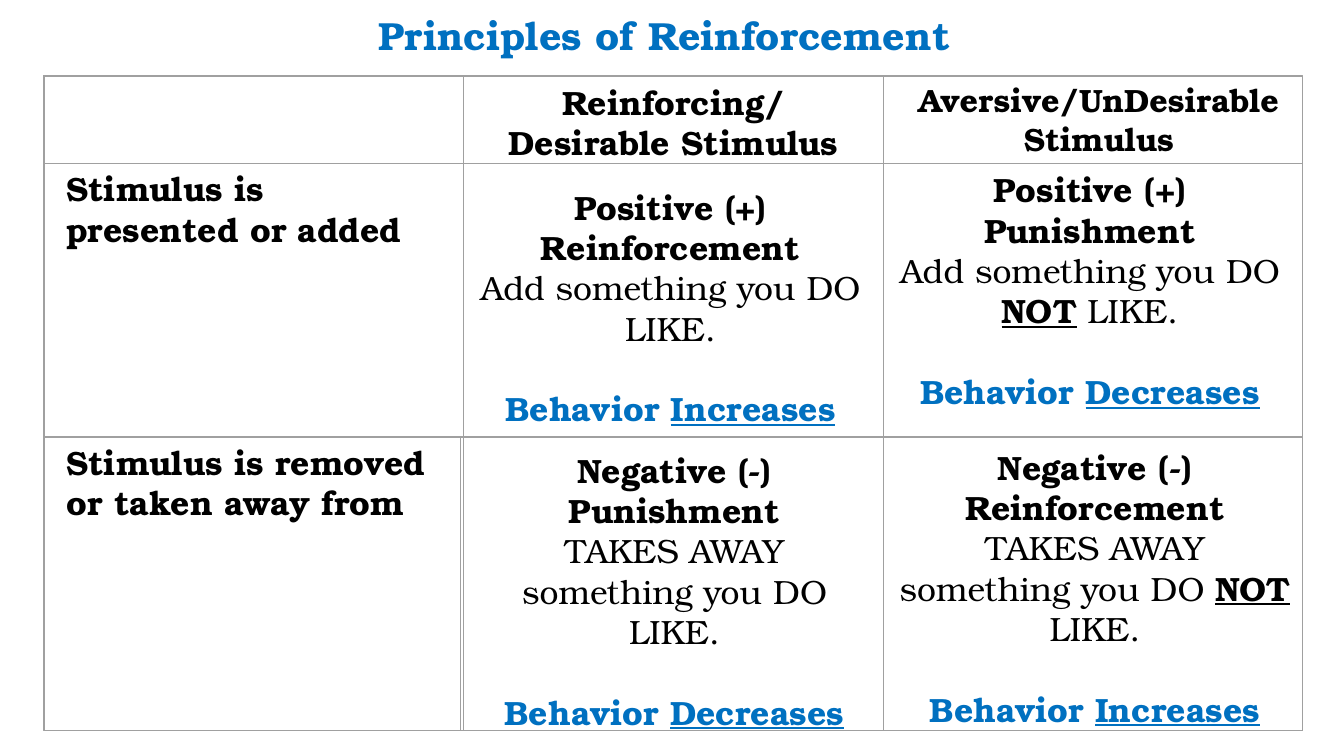
from dataclasses import dataclass

from pptx import Presentation
from pptx.dml.color import RGBColor
from pptx.enum.shapes import MSO_SHAPE
from pptx.enum.text import MSO_ANCHOR, PP_ALIGN
from pptx.util import Inches, Pt

CENTER, LEFT = PP_ALIGN.CENTER, PP_ALIGN.LEFT
MIDDLE, TOP = MSO_ANCHOR.MIDDLE, MSO_ANCHOR.TOP
RECTANGLE = MSO_SHAPE.RECTANGLE

FONT = "TeX Gyre Bonum"
COLORS = {"ink": "000000", "accent": "0070C0", "grid": "A0A0A0"}
TEXT_WIDTH = 3.92
BLANK_LINE = 28.8


@dataclass
class Span:
    text: str
    bold: bool = True
    underline: bool = False
    color: str = "ink"


@dataclass
class Line:
    spans: list[Span]
    space_before: float = 0


@dataclass
class Block:
    left: float
    top: float
    width: float
    height: float
    lines: list[Line]
    size: float = 24
    align: int = CENTER
    anchor: int = TOP
    inset: bool = True
    spacing: float = 1.0


@dataclass
class Outcome:
    left: float
    top: float
    height: float
    name: str
    action: list[Span]
    change: str


def heading(*texts: str, color: str = "ink") -> list[Line]:
    return [Line([Span(text, color=color)]) for text in texts]


def outcome_block(outcome: Outcome) -> Block:
    behavior = [Span("Behavior ", color="accent"),
                Span(outcome.change, underline=True, color="accent")]
    lines = heading(outcome.name) + [Line(outcome.action), Line(behavior, BLANK_LINE)]
    return Block(outcome.left, outcome.top, TEXT_WIDTH, outcome.height, lines, inset=False)


def draw_block(slide, block: Block) -> None:
    box = slide.shapes.add_textbox(Inches(block.left), Inches(block.top),
                                   Inches(block.width), Inches(block.height))
    frame = box.text_frame
    frame.word_wrap = True
    frame.vertical_anchor = block.anchor
    if not block.inset:
        frame.margin_left = frame.margin_right = Inches(0)
        frame.margin_top = frame.margin_bottom = Inches(0)
    for index, line in enumerate(block.lines):
        paragraph = frame.add_paragraph() if index else frame.paragraphs[0]
        paragraph.alignment = block.align
        paragraph.line_spacing = block.spacing
        if line.space_before:
            paragraph.space_before = Pt(line.space_before)
        for span in line.spans:
            run = paragraph.add_run()
            run.text = span.text
            run.font.name = FONT
            run.font.size = Pt(block.size)
            run.font.bold = span.bold
            run.font.underline = span.underline
            run.font.color.rgb = RGBColor.from_string(COLORS[span.color])


def draw_frame(slide, left: float, top: float, width: float, height: float,
               weight: float = 0) -> None:
    border = slide.shapes.add_shape(RECTANGLE, Inches(left), Inches(top),
                                    Inches(width), Inches(height))
    border.shadow.inherit = False
    border.fill.background()
    border.line.color.rgb = RGBColor.from_string(COLORS["grid"])
    border.line.width = Pt(weight)


# Grid geometry
COLUMN_LEFTS, COLUMN_WIDTH = (0.44, 4.6, 8.76), 4.16
ROWS = ((0.76, 0.86), (1.62, 2.72), (4.33, 2.92))
DOUBLE_RULE_CELL, DOUBLE_RULE_SHIFT = (2, 1), 0.03

# Wording
TITLE = Block(2.34, 0, 8.5, 0.75, heading("Principles of Reinforcement", color="accent"),
              size=28, anchor=MIDDLE, spacing=0.9)
HEADERS = [
    Block(4.72, 0.76, TEXT_WIDTH, 0.86, heading("Reinforcing/Desirable Stimulus")),
    Block(8.76, 0.75, 4.28, 0.86, heading("Aversive/UnDesirable", "Stimulus"), size=23),
]
ROW_LABELS = [
    Block(0.56, top, TEXT_WIDTH, height, heading(text), align=LEFT)
    for (top, height), text in zip(ROWS[1:], ("Stimulus is presented or added",
                                              "Stimulus is removed or taken away from"))
]
NOT_LIKE = [Span("NOT", underline=True), Span(" LIKE.", bold=False)]
OUTCOMES = [
    Outcome(4.69, 1.85, 2.4, "Positive (+) Reinforcement",
            [Span("Add something you DO LIKE.", bold=False)], "Increases"),
    Outcome(8.85, 1.68, 2.4, "Positive (+) Punishment",
            [Span("Add something you DO ", bold=False), *NOT_LIKE], "Decreases"),
    Outcome(4.73, 4.46, 2.8, "Negative (-) Punishment",
            [Span("TAKES AWAY something you DO LIKE.", bold=False)], "Decreases"),
    Outcome(8.9, 4.43, 2.8, "Negative (-) Reinforcement",
            [Span("TAKES AWAY something you DO ", bold=False), *NOT_LIKE], "Increases"),
]


def main() -> None:
    deck = Presentation()
    deck.slide_width, deck.slide_height = Inches(13.33), Inches(7.5)
    slide = deck.slides.add_slide(deck.slide_layouts[6])

    # Title, column headers, row labels and outcomes
    for block in [TITLE, *HEADERS, *ROW_LABELS, *map(outcome_block, OUTCOMES)]:
        draw_block(slide, block)

    # Cell borders, then the outer frame
    for row, (top, height) in enumerate(ROWS):
        for column, left in enumerate(COLUMN_LEFTS):
            shift = DOUBLE_RULE_SHIFT if (row, column) == DOUBLE_RULE_CELL else 0
            draw_frame(slide, left - shift, top, COLUMN_WIDTH + shift, height)
    draw_frame(slide, 0.43, 0.75, 12.49, 6.5, weight=0.75)

    deck.save("out.pptx")


if __name__ == "__main__":
    main()
